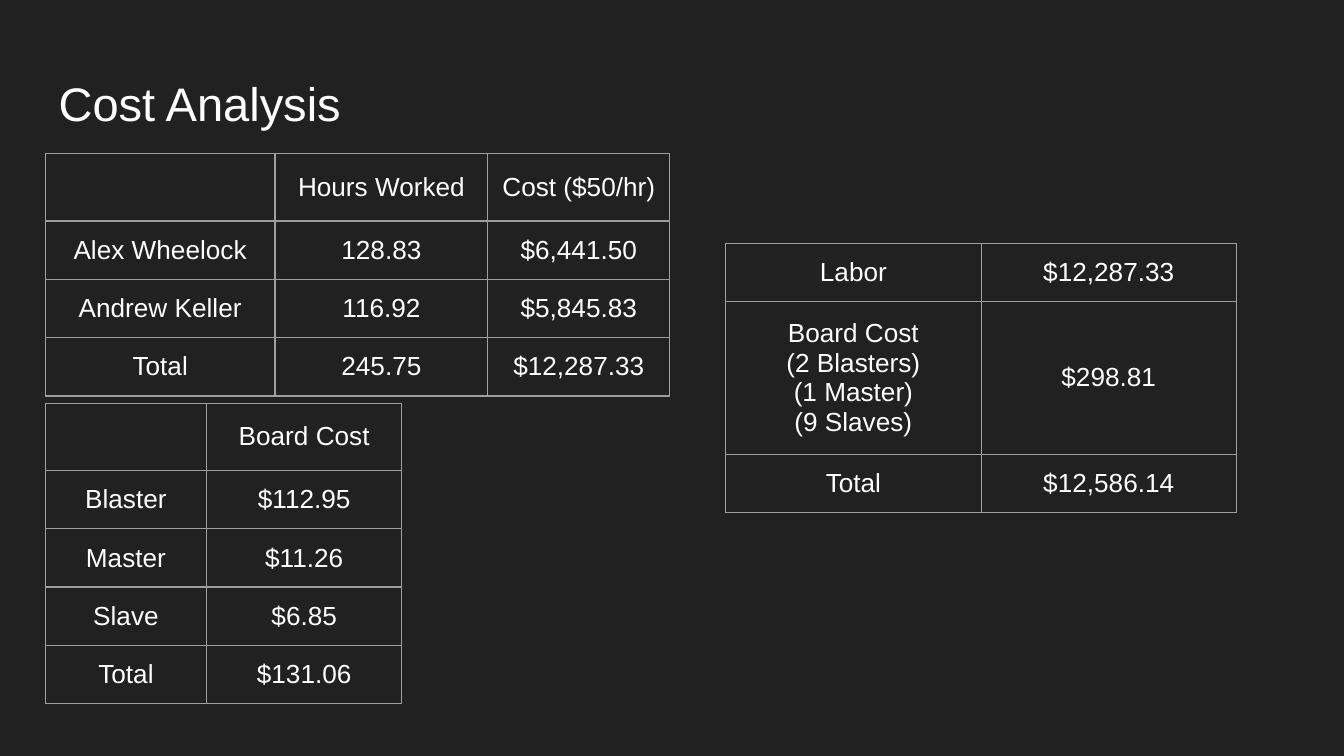
from lxml import etree
from pptx import Presentation
from pptx.dml.color import RGBColor
from pptx.enum.text import MSO_ANCHOR, PP_ALIGN
from pptx.oxml.ns import qn
from pptx.util import Pt

CENTER = PP_ALIGN.CENTER
MIDDLE = MSO_ANCHOR.MIDDLE
BOTTOM = MSO_ANCHOR.BOTTOM

FONT = "Arial"
BACKGROUND = "212121"
WHITE = "FFFFFF"
GRAY = "9E9E9E"

INSET = 7.2
LEFT = 24.3
HEADER_HEIGHT = 34.8
ROW_HEIGHT = 30
BOARD_ROW_HEIGHT = 77.4

LABOR = [
    ["", "Hours Worked", "Cost ($50/hr)"],
    ["Alex Wheelock", "128.83", "$6,441.50"],
    ["Andrew Keller", "116.92", "$5,845.83"],
    ["Total", "245.75", "$12,287.33"],
]
BOARDS = [
    ["", "Board Cost"],
    ["Blaster", "$112.95"],
    ["Master", "$11.26"],
    ["Slave", "$6.85"],
    ["Total", "$131.06"],
]
SUMMARY = [
    ["Labor", "$12,287.33"],
    ["Board Cost\n(2 Blasters)\n(1 Master)\n(9 Slaves)", "$298.81"],
    ["Total", "$12,586.14"],
]


def color(value):
    return RGBColor.from_string(value)


def format_text(frame, size):
    for paragraph in frame.paragraphs:
        for span in paragraph.runs:
            span.font.name = FONT
            span.font.size = Pt(size)
            span.font.color.rgb = color(WHITE)


def set_insets(holder):
    """Give a text frame or a table cell the same margin on all sides."""
    holder.margin_left = holder.margin_right = Pt(INSET)
    holder.margin_top = holder.margin_bottom = Pt(INSET)


def add_title(page, text):
    box = page.shapes.add_textbox(Pt(LEFT), Pt(31.7), Pt(671), Pt(45.4))
    frame = box.text_frame
    frame.word_wrap = True
    frame.vertical_anchor = BOTTOM
    set_insets(frame)
    frame.text = text
    format_text(frame, 25.2)


def add_borders(cell):
    properties = cell._tc.get_or_add_tcPr()
    for position, side in enumerate(("lnL", "lnR", "lnT", "lnB")):
        line = etree.Element(qn(f"a:{side}"), w=str(Pt(0.75)))
        fill = etree.SubElement(line, qn("a:solidFill"))
        etree.SubElement(fill, qn("a:srgbClr"), val=GRAY)
        properties.insert(position, line)


def fill_cell(cell, text):
    cell.fill.background()
    cell.vertical_anchor = MIDDLE
    set_insets(cell)
    cell.text_frame.text = text
    for paragraph in cell.text_frame.paragraphs:
        paragraph.alignment = CENTER
    format_text(cell.text_frame, 14)
    add_borders(cell)


def add_cost_table(page, left, top, widths, heights, rows):
    frame = page.shapes.add_table(
        len(rows), len(widths), Pt(left), Pt(top), Pt(sum(widths)), Pt(sum(heights))
    )
    table = frame.table
    table.first_row = table.horz_banding = False
    for column, width in zip(table.columns, widths):
        column.width = Pt(width)
    for row, height, texts in zip(table.rows, heights, rows):
        row.height = Pt(height)
        for cell, text in zip(row.cells, texts):
            fill_cell(cell, text)


def main():
    deck = Presentation()
    deck.slide_width, deck.slide_height = Pt(720), Pt(405)
    page = deck.slides.add_slide(deck.slide_layouts[6])
    page.background.fill.solid()
    page.background.fill.fore_color.rgb = color(BACKGROUND)

    add_title(page, "Cost Analysis")
    add_cost_table(page, LEFT, 82.4, [123.1, 114, 97.5],
                   [HEADER_HEIGHT] + [ROW_HEIGHT] * 3, LABOR)
    add_cost_table(page, LEFT, 216, [86.4, 104.6],
                   [HEADER_HEIGHT] + [ROW_HEIGHT] * 4, BOARDS)
    add_cost_table(page, 388.8, 130.4, [136.8] * 2,
                   [ROW_HEIGHT, BOARD_ROW_HEIGHT, ROW_HEIGHT], SUMMARY)
    deck.save("out.pptx")


if __name__ == "__main__":
    main()
